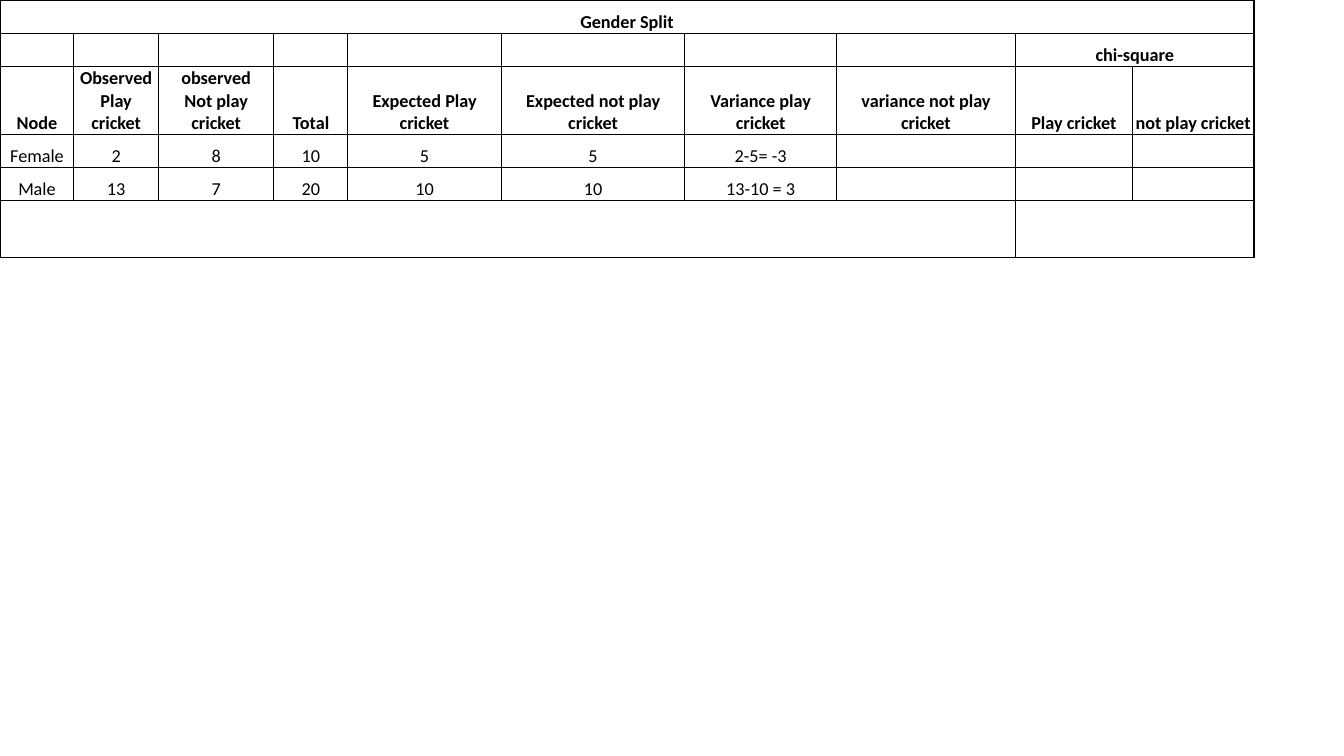
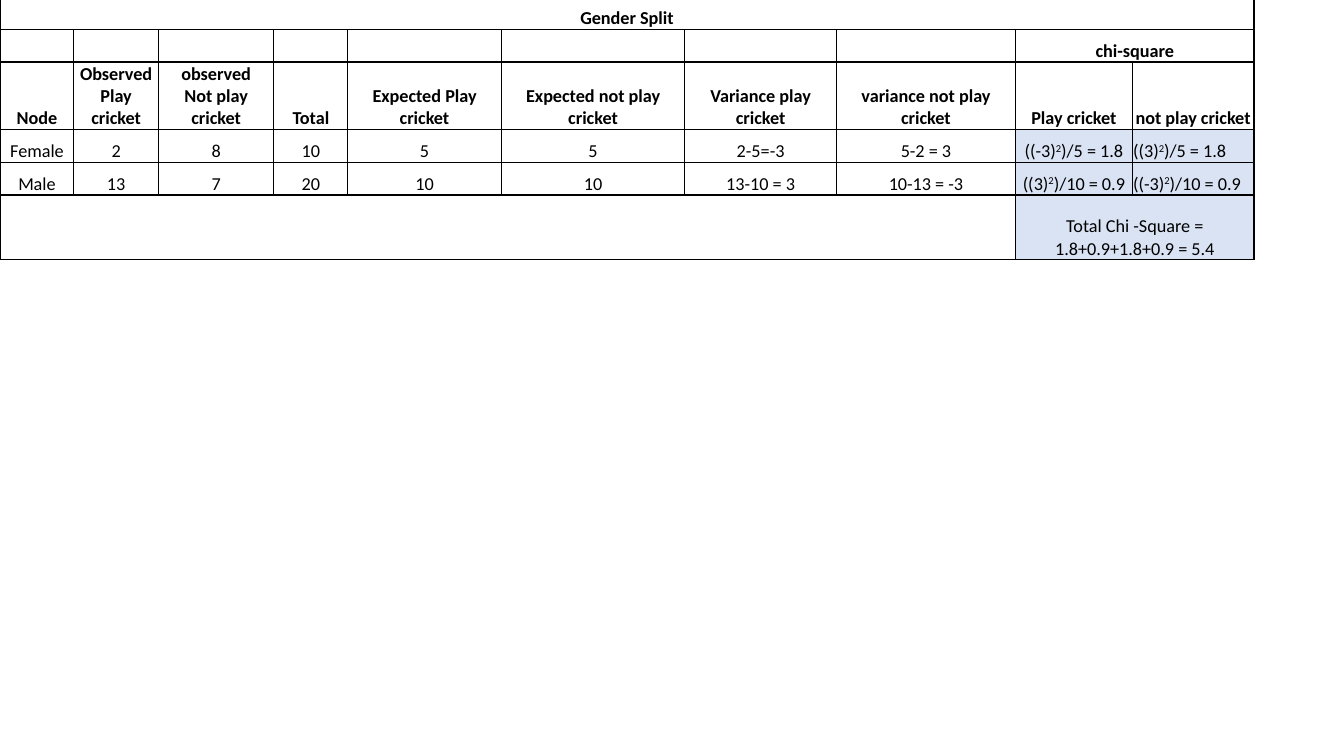
from lxml.etree import SubElement
from pptx import Presentation
from pptx.dml.color import RGBColor
from pptx.enum.text import MSO_ANCHOR as Anchor, PP_ALIGN as Align
from pptx.oxml.ns import qn
from pptx.util import Pt

BLACK, WHITE, HIGHLIGHT = "000000", "FFFFFF", "DAE3F3"
COLUMN_WIDTHS = [52.8, 60.3, 82.6, 52.8, 109.6, 131.2, 108.2, 128, 83.3, 87]
CHI_COLUMN = 8
HEADER_ROWS = 3
CELL_FORMAT = {
    "margin_left": Pt(0.7),
    "margin_right": Pt(0.7),
    "margin_top": Pt(0.7),
    "margin_bottom": Pt(0),
    "vertical_anchor": Anchor.BOTTOM,
}
FONT_FORMAT = {"name": "Calibri", "size": Pt(13)}
TABLE_FORMAT = {"first_row": False, "horz_banding": False}
HEADINGS = [
    "Node", "Observed\nPlay cricket", "observed\nNot play cricket", "Total",
    "Expected Play cricket", "Expected not play cricket",
    "Variance play cricket", "variance not play cricket",
    "Play cricket", "not play cricket",
]
FEMALE = ["Female", "2", "8", "10", "5", "5"]
MALE = ["Male", "13", "7", "20", "10", "10", "13-10 = 3"]
SPLITS = [
    {
        "top": 0,
        "heights": [23.7, 23.7, 48.4, 23.7, 23.7, 41],
        "female": ["2-5= -3"],
        "male": [],
        "total": "",
        "chi_fill": WHITE,
    },
    {
        "top": -2.2,
        "heights": [23.3, 23.3, 48.4, 23.3, 23.3, 46.4],
        "female": ["2-5=-3", "5-2 = 3", "((-3)^2^)/5 = 1.8", "((3)^2^)/5 = 1.8"],
        "male": ["10-13 = -3", "((3)^2^)/10 = 0.9", "((-3)^2^)/10 = 0.9"],
        "total": "Total Chi -Square = 1.8+0.9+1.8+0.9 = 5.4",
        "chi_fill": HIGHLIGHT,
    },
]


def color(value):
    """Turn a hex string into a colour."""
    return RGBColor.from_string(value)


def apply_format(target, values):
    """Set every attribute in values on target."""
    for attribute, value in values.items():
        setattr(target, attribute, value)


def add_borders(cell):
    """Draw a one-point black line on all four sides of a cell."""
    properties = cell._tc.get_or_add_tcPr()
    for side in ("a:lnL", "a:lnR", "a:lnT", "a:lnB"):
        line = SubElement(properties, qn(side), w=str(Pt(1)))
        fill = SubElement(line, qn("a:solidFill"))
        SubElement(fill, qn("a:srgbClr"), val=BLACK)


def write_text(cell, text, bold, align):
    """Write lines into a cell, raising the parts between carets."""
    frame = cell.text_frame
    for number, line in enumerate(text.split("\n")):
        paragraph = frame.add_paragraph() if number else frame.paragraphs[0]
        paragraph.alignment = align
        for index, part in enumerate(line.split("^")):
            run = paragraph.add_run()
            run.text = part
            apply_format(run.font, {**FONT_FORMAT, "bold": bold})
            run.font.color.rgb = color(BLACK)
            if index % 2:
                run.font._element.set("baseline", "30000")


def style_cell(cell, fill):
    """Give a cell its margins, borders and fill."""
    apply_format(cell, CELL_FORMAT)
    add_borders(cell)
    cell.fill.solid()
    cell.fill.fore_color.rgb = color(fill)


def table_texts(split):
    """Return the texts of a split table by row and column."""
    gap = [""] * CHI_COLUMN
    return [
        ["Gender Split"],
        gap + ["chi-square"],
        HEADINGS,
        FEMALE + split["female"],
        MALE + split["male"],
        gap + [split["total"]],
    ]


def add_split_table(slide, split):
    """Add one gender split table to a slide."""
    heights = split["heights"]
    last_row, last_column = len(heights) - 1, len(COLUMN_WIDTHS) - 1
    frame = slide.shapes.add_table(
        len(heights), len(COLUMN_WIDTHS), Pt(0), Pt(split["top"]),
        Pt(sum(COLUMN_WIDTHS)), Pt(sum(heights)))
    table = frame.table
    apply_format(table, TABLE_FORMAT)
    for column, width in zip(table.columns, COLUMN_WIDTHS):
        column.width = Pt(width)
    for row, height in zip(table.rows, heights):
        row.height = Pt(height)
    for row, first, last in [
        (0, 0, last_column),
        (1, CHI_COLUMN, last_column),
        (last_row, 0, CHI_COLUMN - 1),
        (last_row, CHI_COLUMN, last_column),
    ]:
        table.cell(row, first).merge(table.cell(row, last))
    for row, texts in enumerate(table_texts(split)):
        is_header = row < HEADER_ROWS
        for column in range(len(COLUMN_WIDTHS)):
            cell = table.cell(row, column)
            is_result = not is_header and column >= CHI_COLUMN
            style_cell(cell, split["chi_fill"] if is_result else WHITE)
            text = texts[column] if column < len(texts) else ""
            if text:
                is_left = is_result and column == last_column
                align = Align.LEFT if is_left else Align.CENTER
                write_text(cell, text, is_header, align)


def main():
    """Build and save the presentation."""
    deck = Presentation()
    apply_format(deck, {"slide_width": Pt(960), "slide_height": Pt(540)})
    for split in SPLITS:
        add_split_table(deck.slides.add_slide(deck.slide_layouts[6]), split)
    deck.save("out.pptx")


if __name__ == "__main__":
    main()
